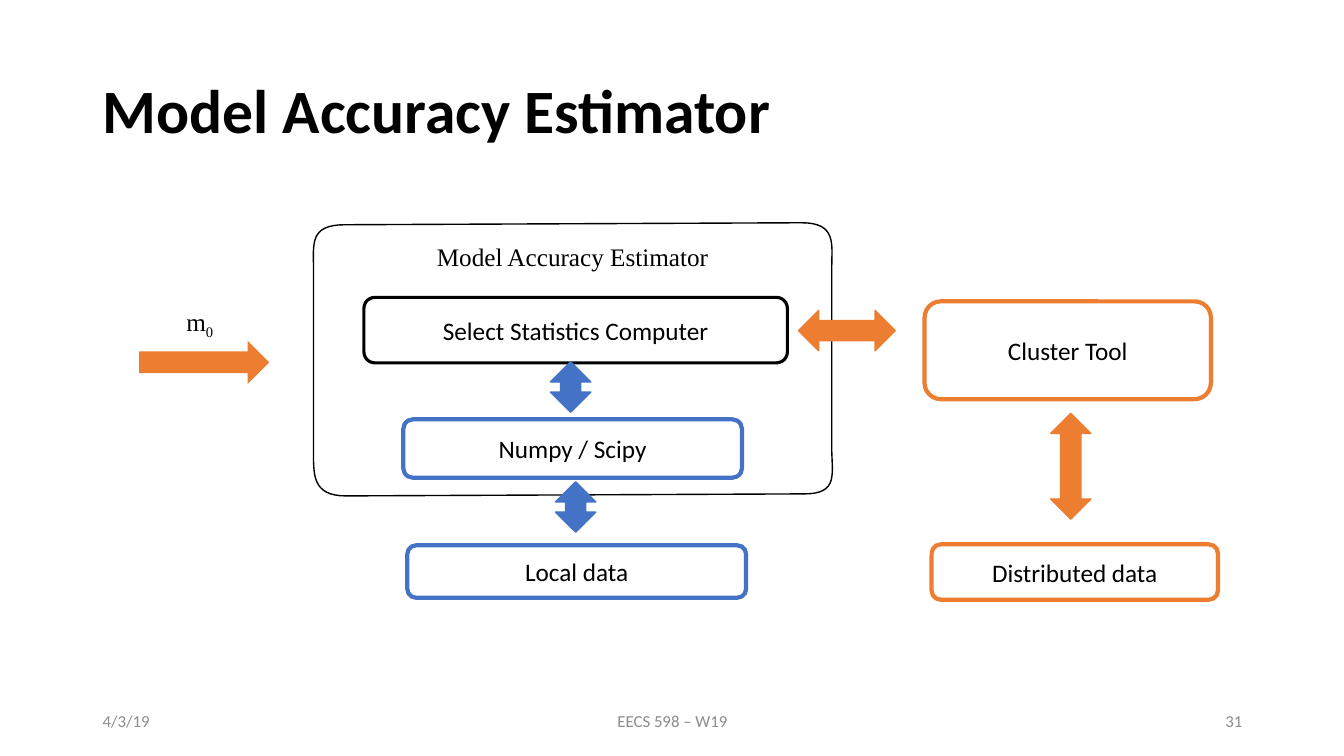
"""Build the Model Accuracy Estimator architecture slide."""
from pptx import Presentation
from pptx import util as u
from pptx.dml.color import RGBColor
from pptx.enum import shapes, text

COLORS = {
    "black": "000000",
    "white": "FFFFFF",
    "grey": "8C8C8C",
    "blue": "4472C4",
    "orange": "ED7D31",
}
ALIGN = text.PP_ALIGN
ANCHOR = text.MSO_ANCHOR
KIND = shapes.MSO_SHAPE


def write(shape, words, size=18, font="Calibri", color="black", bold=False,
          align=ALIGN.CENTER, anchor=ANCHOR.MIDDLE, spacing=None, subscript=None):
    frame = shape.text_frame
    frame.word_wrap = True
    frame.vertical_anchor = anchor
    paragraph = frame.paragraphs[0]
    paragraph.alignment = align
    paragraph.line_spacing = spacing
    for part in filter(None, (words, subscript)):
        run = paragraph.add_run()
        run.text = part
        run.font.size = u.Pt(size)
        run.font.name = font
        run.font.bold = bold
        run.font.color.rgb = RGBColor.from_string(COLORS[color])
    if subscript:
        run.font._element.set("baseline", "-25000")


def paint(shape, fill, line=None, width=1):
    shape.shadow.inherit = False
    shape.fill.solid()
    shape.fill.fore_color.rgb = RGBColor.from_string(COLORS[fill])
    if line:
        shape.line.color.rgb = RGBColor.from_string(COLORS[line])
        shape.line.width = u.Pt(width)
    else:
        shape.line.fill.background()


deck = Presentation()
deck.slide_width = u.Inches(13.33)
deck.slide_height = u.Inches(7.5)
slide = deck.slides.add_slide(deck.slide_layouts[6])
canvas = slide.shapes

corners = [
    [(3.11, 2.66), (3.11, 2.42), (3.07, 2.23), (3.42, 2.23)],
    [(7.95, 2.21), (8.3, 2.21), (8.25, 2.42), (8.25, 2.66)],
    [(8.25, 4.45), (8.25, 4.7), (8.32, 4.9), (7.98, 4.9)],
    [(3.43, 4.92), (3.09, 4.92), (3.11, 4.7), (3.11, 4.45)],
]
steps = 16
outline = []
for corner in corners:
    for step in range(steps + 1):
        t = step / steps
        weights = ((1 - t) ** 3, 3 * t * (1 - t) ** 2, 3 * t ** 2 * (1 - t), t ** 3)
        outline.append(tuple(
            u.Inches(sum(w * point[axis] for w, point in zip(weights, corner)))
            for axis in (0, 1)))
builder = canvas.build_freeform(*outline[0])
builder.add_line_segments(outline[1:], close=True)
paint(builder.convert_to_shape(), "white", "black")

footer = {"size": 12, "color": "grey"}
serif = {"font": "Times New Roman", "anchor": ANCHOR.TOP}
labels = [
    ((0.92, 0.4, 11.5, 1.45), "Model Accuracy Estimator",
     {"size": 44, "bold": True, "align": ALIGN.LEFT, "spacing": 0.9}),
    ((0.92, 6.95, 3, 0.4), "4/3/19", {**footer, "align": ALIGN.LEFT}),
    ((4.42, 6.95, 4.5, 0.4), "EECS 598 – W19", footer),
    ((9.42, 6.95, 3, 0.4), "31", {**footer, "align": ALIGN.RIGHT}),
    ((3.11, 2.34, 5.14, 0.4), "Model Accuracy Estimator", serif),
    ((1.75, 2.99, 0.55, 0.4), "m", {**serif, "align": ALIGN.LEFT, "subscript": "0"}),
]
for place, words, style in labels:
    write(canvas.add_textbox(*map(u.Inches, place)), words, **style)

components = [
    ((3.61, 2.95, 4.2, 0.65), "Select Statistics Computer", "black", 2.25),
    ((4, 4.16, 3.36, 0.58), "Numpy / Scipy", "blue", 3),
    ((9.17, 2.99, 2.84, 0.97), "Cluster Tool", "orange", 3),
    ((4.04, 5.41, 3.36, 0.52), "Local data", "blue", 3),
    ((9.24, 5.4, 2.84, 0.55), "Distributed data", "orange", 3),
]
for place, words, color, width in components:
    component = canvas.add_shape(KIND.ROUNDED_RECTANGLE, *map(u.Inches, place))
    paint(component, "white", color, width)
    write(component, words)

flows = [
    (KIND.RIGHT_ARROW, (1.38, 3.38, 1.29, 0.43), "orange", None),
    (KIND.UP_DOWN_ARROW, (5.46, 3.59, 0.4, 0.5), "blue", "blue"),
    (KIND.LEFT_RIGHT_ARROW, (7.92, 3.08, 0.96, 0.4), "orange", "orange"),
    (KIND.UP_DOWN_ARROW, (5.51, 4.78, 0.4, 0.5), "blue", "blue"),
    (KIND.UP_DOWN_ARROW, (10.42, 4.1, 0.4, 1.05), "orange", "orange"),
]
for kind, place, fill, line in flows:
    paint(canvas.add_shape(kind, *map(u.Inches, place)), fill, line)

deck.save("out.pptx")
